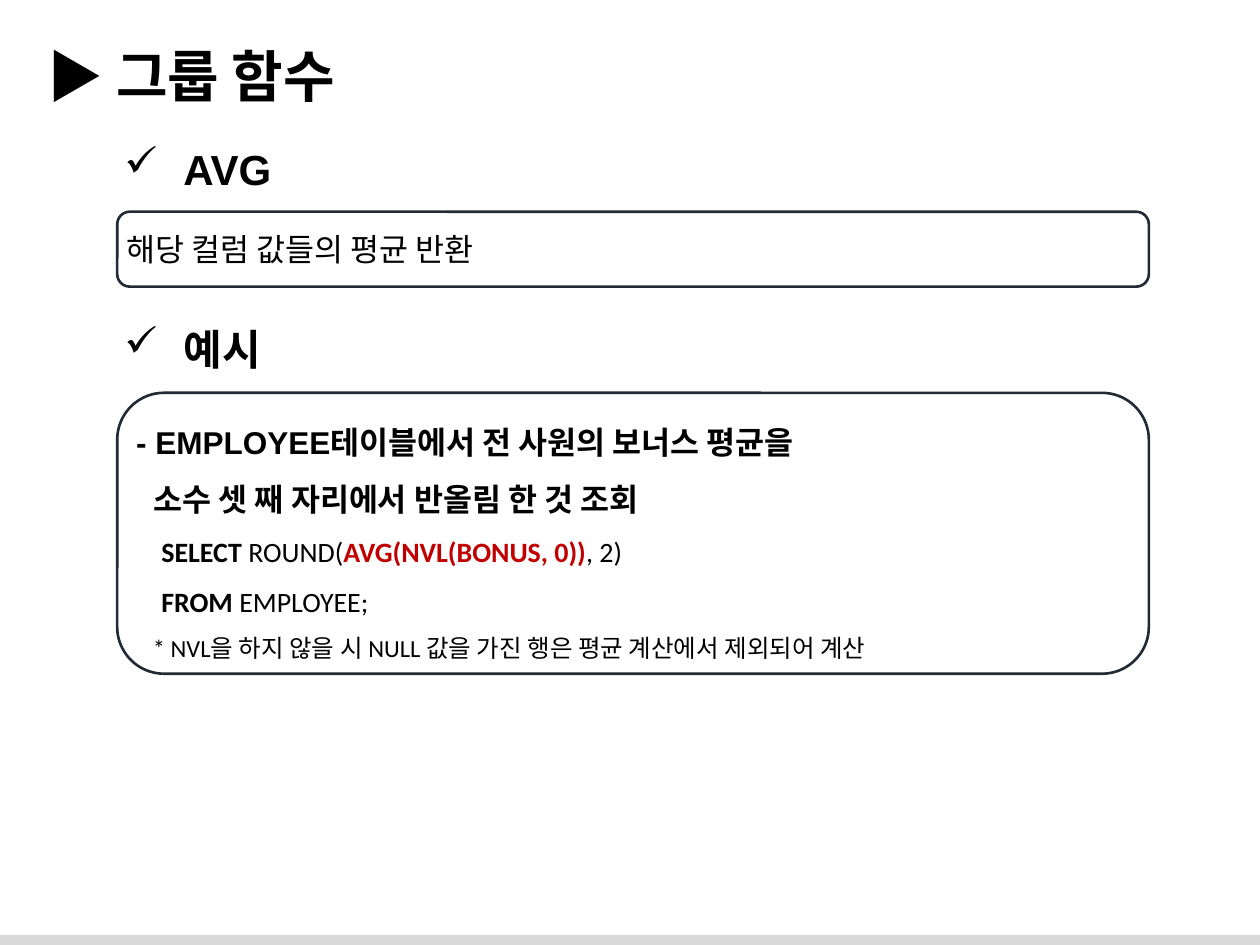
from pptx import Presentation
from pptx.dml.color import RGBColor
from pptx.enum.shapes import MSO_SHAPE as Shape
from pptx.enum.text import MSO_ANCHOR as Anchor, MSO_AUTO_SIZE as AutoSize, PP_ALIGN as Align
from pptx.oxml.ns import qn
from pptx.util import Pt
from lxml import etree

BLACK = RGBColor(0x00, 0x00, 0x00)
RED = RGBColor(0xC0, 0x00, 0x00)
NAVY = RGBColor(0x22, 0x2A, 0x35)
GRAY = RGBColor(0xD9, 0xD9, 0xD9)

PANEL_LEFT, PANEL_WIDTH = 67, 589.5
HEADING_INDENT = 33.7

TITLE = dict(name="Arial", size=Pt(32), bold=True)
HEADING = dict(name="Arial", size=Pt(24), bold=True)
BODY = dict(name="Arial", size=Pt(18), bold=False)
TASK = dict(BODY, bold=True)
CODE = dict(name="Calibri", size=Pt(16), bold=False)
KEYWORD = dict(CODE, bold=True)
ACCENT = dict(KEYWORD, color=RED)
NOTE = dict(CODE, size=Pt(14))


def add_run(paragraph, text, style):
    run = paragraph.add_run()
    run.text = text
    style = dict(style)
    run.font.color.rgb = style.pop("color", BLACK)
    for attribute, value in style.items():
        setattr(run.font, attribute, value)


def set_indent(paragraph, left, first=0):
    properties = paragraph._p.get_or_add_pPr()
    properties.set("marL", str(Pt(left)))
    properties.set("indent", str(Pt(first)))
    return properties


def add_label(slide, box, text, style, wrap=True):
    label = slide.shapes.add_textbox(*map(Pt, box))
    label.text_frame.word_wrap = wrap
    label.text_frame.auto_size = AutoSize.SHAPE_TO_FIT_TEXT
    paragraph = label.text_frame.paragraphs[0]
    add_run(paragraph, text, style)
    return paragraph


def add_heading(slide, top, text):
    paragraph = add_label(slide, (64, top, 99, 36), text, HEADING, wrap=False)
    properties = set_indent(paragraph, HEADING_INDENT, -HEADING_INDENT)
    etree.SubElement(properties, qn("a:buChar")).set("char", "✓")


def add_panel(slide, top, height, lines, line_spacing=None):
    """Outlined panel; each line is (left indent, [(text, style), ...])."""
    panel = slide.shapes.add_shape(
        Shape.ROUNDED_RECTANGLE, *map(Pt, (PANEL_LEFT, top, PANEL_WIDTH, height)))
    panel.shadow.inherit = False
    panel.fill.background()
    panel.line.color.rgb = NAVY
    panel.line.width = Pt(1.5)
    frame = panel.text_frame
    layout = dict(word_wrap=True, vertical_anchor=Anchor.MIDDLE, margin_left=Pt(3),
                  margin_right=0, margin_top=Pt(3.6), margin_bottom=Pt(3.6))
    for attribute, value in layout.items():
        setattr(frame, attribute, value)
    for number, (indent, runs) in enumerate(lines):
        paragraph = frame.add_paragraph() if number else frame.paragraphs[0]
        paragraph.alignment = Align.LEFT
        paragraph.line_spacing = line_spacing
        set_indent(paragraph, indent)
        for text, style in runs:
            add_run(paragraph, text, style)


def add_footer_bar(slide):
    bar = slide.shapes.add_shape(Shape.RECTANGLE, *map(Pt, (-1.5, 534.3, 723, 8)))
    bar.shadow.inherit = False
    bar.fill.solid()
    bar.fill.fore_color.rgb = GRAY
    bar.line.fill.background()


def main():
    deck = Presentation()
    deck.slide_width, deck.slide_height = Pt(720), Pt(540)
    slide = deck.slides.add_slide(deck.slide_layouts[6])

    # Footer and title
    add_footer_bar(slide)
    add_label(slide, (20, 20, 680, 46), "▶ 그룹 함수", TITLE)

    # Function description
    add_heading(slide, 78.5, "AVG")
    add_panel(slide, 121, 42.8, [(0, [("해당 컬럼 값들의 평균 반환", BODY)])])

    # Example query
    add_heading(slide, 181.5, "예시")
    add_panel(slide, 224.5, 160.5, [
        (0, [("- EMPLOYEE테이블에서 전 사원의 보너스 평균을", TASK)]),
        (10, [("소수 셋 째 자리에서 반올림 한 것 조회", TASK)]),
        (0, [("    SELECT ", KEYWORD), ("ROUND(", CODE),
             ("AVG(NVL(BONUS, 0))", ACCENT), (", 2)", CODE)]),
        (0, [("    FROM ", KEYWORD), ("EMPLOYEE;", CODE)]),
        (9.5, [("* NVL을 하지 않을 시 NULL 값을 가진 행은 평균 계산에서 제외되어 계산", NOTE)]),
    ], line_spacing=1.5)

    deck.save("out.pptx")


if __name__ == "__main__":
    main()
